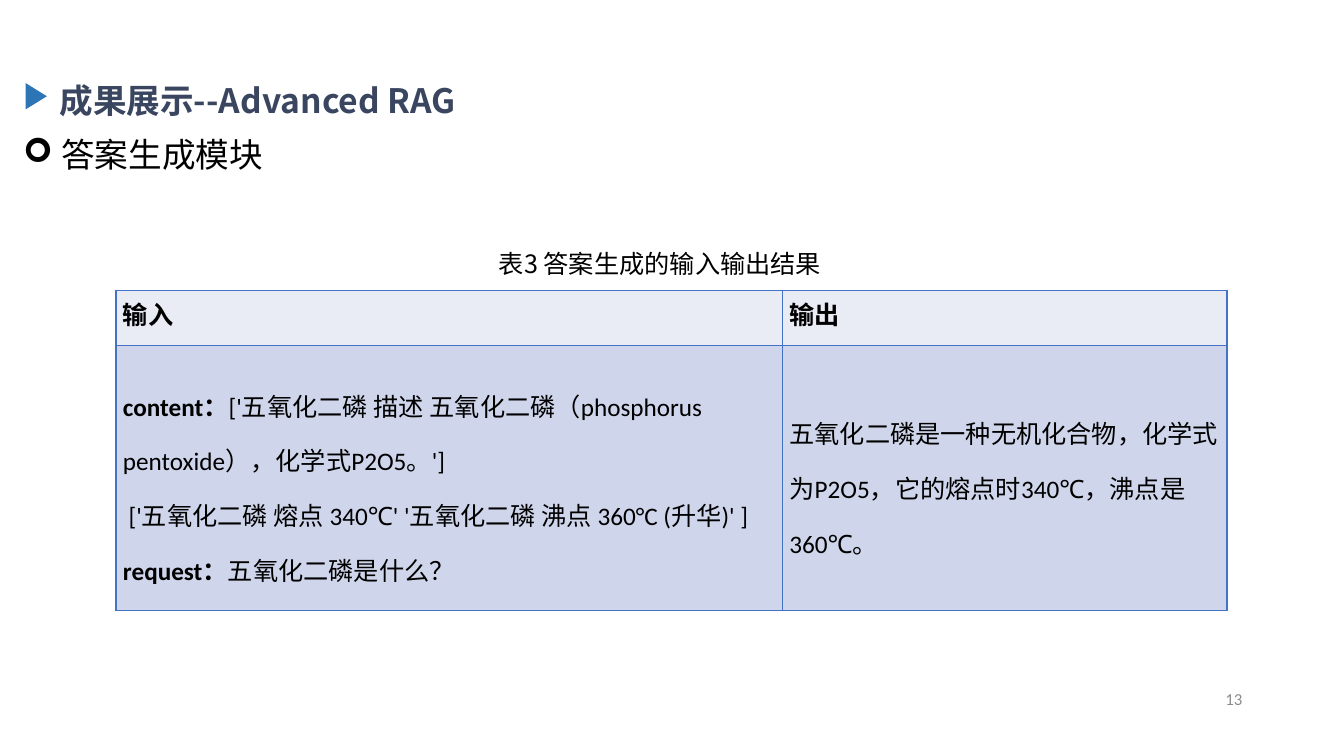
from lxml.etree import SubElement
from pptx import Presentation
from pptx.dml.color import RGBColor
from pptx.enum.shapes import MSO_SHAPE
from pptx.enum.text import MSO_ANCHOR, MSO_AUTO_SIZE, PP_ALIGN
from pptx.oxml.ns import qn
from pptx.util import Inches, Pt

CJK = "Noto Sans CJK SC"
LATIN = "Calibri"
BORDER = "4472C4"
CELL_TEXT = {"size": Pt(18), "name": LATIN, "bold": False}
CELL_BOLD = {**CELL_TEXT, "bold": True}


def colour(hex_value):
    return RGBColor.from_string(hex_value)


def apply(target, values):
    for name, value in values.items():
        setattr(target, name, value)


def add_span(para, text, font, hex_value="000000"):
    span = para.add_run()
    span.text = text
    apply(span.font, font)
    span.font.color.rgb = colour(hex_value)
    SubElement(span.font._element, qn("a:ea")).set("typeface", CJK)


def place(shape, left, top, width, height):
    sides = {"left": left, "top": top, "width": width, "height": height}
    apply(shape, {side: Inches(length) for side, length in sides.items()})


def format_frame(frame, anchor=MSO_ANCHOR.TOP, across=0.1, down=0.05):
    apply(frame, {
        "word_wrap": True, "auto_size": MSO_AUTO_SIZE.NONE,
        "vertical_anchor": anchor,
        "margin_left": Inches(across), "margin_right": Inches(across),
        "margin_top": Inches(down), "margin_bottom": Inches(down),
    })


def add_text(page, position, text, font, hex_value="000000",
             align=PP_ALIGN.LEFT, anchor=MSO_ANCHOR.TOP, bullet=None):
    box = page.shapes.add_textbox(*map(Inches, position))
    format_frame(box.text_frame, anchor)
    para = box.text_frame.paragraphs[0]
    para.alignment = align
    if bullet:
        settings = para._p.get_or_add_pPr()
        settings.set("marL", str(Inches(0.38)))
        settings.set("indent", str(-Inches(0.38)))
        SubElement(settings, qn("a:buFont")).set("typeface", "Wingdings")
        SubElement(settings, qn("a:buChar")).set("char", bullet)
    add_span(para, text, font, hex_value)


def add_title(page, text):
    title = page.shapes.title
    place(title, 0.52, 0.75, 4.57, 0.88)
    format_frame(title.text_frame, across=0.07, down=0.04)
    para = title.text_frame.paragraphs[0]
    para.alignment = PP_ALIGN.LEFT
    add_span(para, text, {"size": Pt(24), "name": CJK, "bold": True}, "3A4660")


def add_marker(page):
    marker = page.shapes.add_shape(
        MSO_SHAPE.ISOSCELES_TRIANGLE, *map(Inches, (0.23, 0.85, 0.26, 0.21)))
    marker.rotation = 90
    marker.shadow.inherit = False
    marker.fill.solid()
    marker.fill.fore_color.rgb = colour("2E75B6")
    marker.line.fill.background()


def add_borders(cell):
    settings = cell._tc.get_or_add_tcPr()
    for index, side in enumerate(("lnL", "lnR", "lnT", "lnB")):
        line = SubElement(settings, qn(f"a:{side}"), w=str(Pt(1)))
        fill = SubElement(line, qn("a:solidFill"))
        SubElement(fill, qn("a:srgbClr"), val=BORDER)
        settings.insert(index, line)


def fill_cell(cell, paragraphs, fill, spacing):
    cell.fill.solid()
    cell.fill.fore_color.rgb = colour(fill)
    add_borders(cell)
    apply(cell, {
        "vertical_anchor": MSO_ANCHOR.MIDDLE,
        "margin_left": Inches(0.07), "margin_right": Inches(0.07),
        "margin_top": 0, "margin_bottom": 0,
    })
    frame = cell.text_frame
    for index, spans in enumerate(paragraphs):
        para = frame.add_paragraph() if index else frame.paragraphs[0]
        para.line_spacing = spacing
        for text, font in spans:
            add_span(para, text, font)


def add_result_table(page, rows, widths, heights, fills, spacings):
    frame = page.shapes.add_table(
        len(rows), len(widths), Inches(1.15), Inches(2.88),
        Inches(sum(widths)), Inches(sum(heights)))
    table = frame.table
    for column, width in zip(table.columns, widths):
        column.width = Inches(width)
    for index, cells in enumerate(rows):
        table.rows[index].height = Inches(heights[index])
        for cell, paragraphs in zip(table.rows[index].cells, cells):
            fill_cell(cell, paragraphs, fills[index], spacings[index])


def main():
    deck = Presentation()
    deck.slide_width, deck.slide_height = Inches(13.33), Inches(7.5)
    page = deck.slides.add_slide(deck.slide_layouts[5])

    # Heading and section line
    add_marker(page)
    add_title(page, "成果展示--Advanced RAG")
    add_text(page, (0.13, 1.28, 9.22, 0.55), "答案生成模块",
             {"size": Pt(24), "name": CJK}, bullet="➢")

    # Table of inputs and outputs
    header = [[[("输入", CELL_BOLD)]], [[("输出", CELL_BOLD)]]]
    prompt = [
        [("content：", CELL_BOLD),
         ("['五氧化二磷 描述 五氧化二磷（phosphorus pentoxide），化学式P2O5。']",
          CELL_TEXT)],
        [(" ['五氧化二磷 熔点 340℃' '五氧化二磷 沸点 360°C (升华)' ]", CELL_TEXT)],
        [("request：", CELL_BOLD), ("五氧化二磷是什么？", CELL_TEXT)],
    ]
    answer = [[("五氧化二磷是一种无机化合物，化学式为P2O5，它的熔点时340℃，沸点是360℃。",
                CELL_TEXT)]]
    add_result_table(page, [header, [prompt, answer]], widths=(6.61, 4.41),
                     heights=(0.55, 1.93), fills=("E9EBF5", "CFD5EA"),
                     spacings=(Pt(20), 1.5))
    add_text(page, (4.85, 2.41, 4.45, 0.4), "表3 答案生成的输入输出结果",
             {"size": Pt(18), "name": CJK})

    # Page number
    add_text(page, (9.42, 6.73, 3, 0.4), "13",
             {"size": Pt(12), "name": LATIN}, "8C8C8C",
             PP_ALIGN.RIGHT, MSO_ANCHOR.MIDDLE)

    deck.save("out.pptx")


if __name__ == "__main__":
    main()
